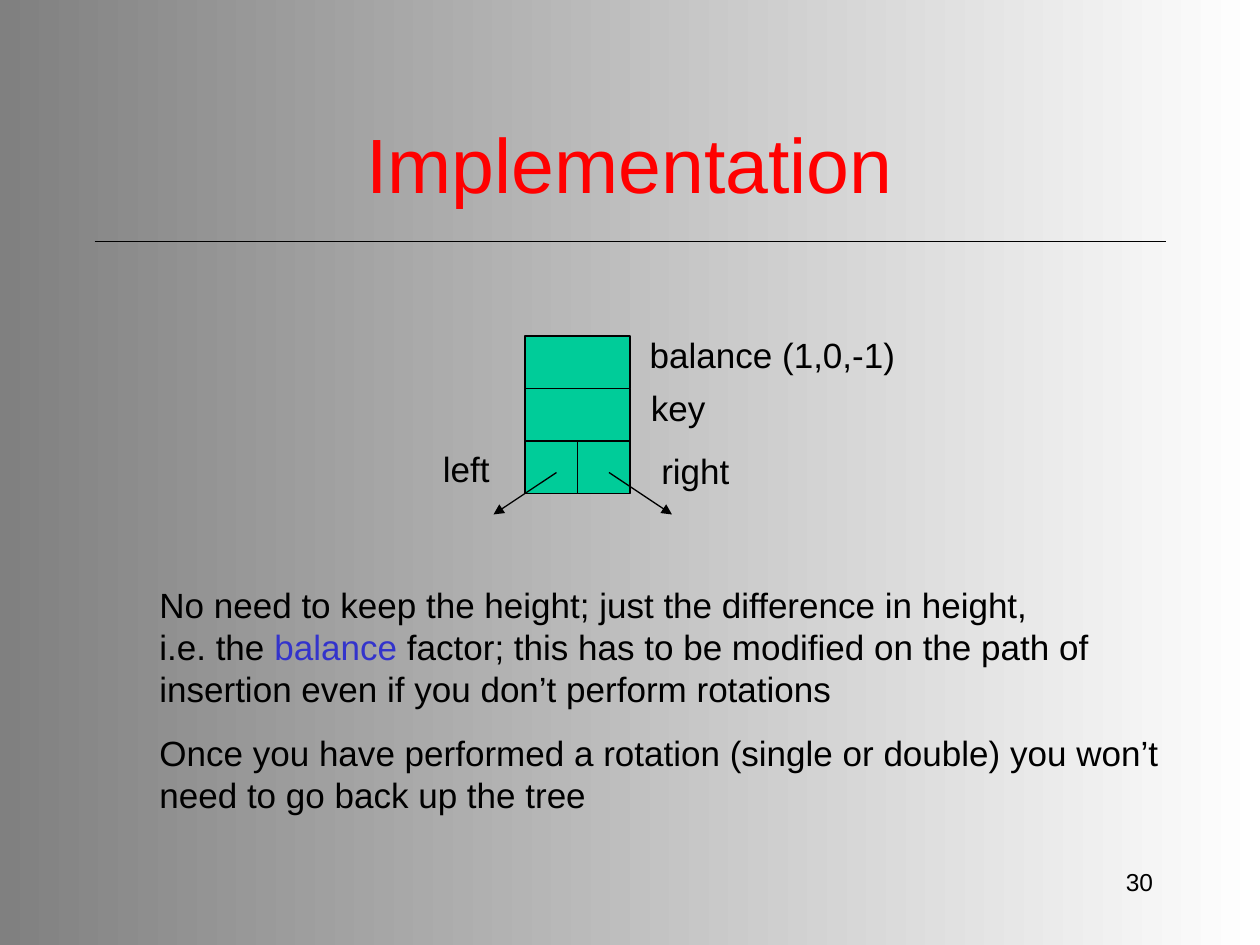
from lxml import etree
from pptx import Presentation
from pptx.dml.color import RGBColor
from pptx.enum.shapes import MSO_CONNECTOR, MSO_SHAPE
from pptx.enum.text import MSO_ANCHOR, PP_ALIGN
from pptx.oxml.ns import qn
from pptx.util import Emu, Pt

PX = 7620  # EMU per px, 120 px to the inch

RECTANGLE = MSO_SHAPE.RECTANGLE
STRAIGHT = MSO_CONNECTOR.STRAIGHT
MIDDLE, TOP = MSO_ANCHOR.MIDDLE, MSO_ANCHOR.TOP
LEFT, CENTER, RIGHT = PP_ALIGN.LEFT, PP_ALIGN.CENTER, PP_ALIGN.RIGHT

BLACK = RGBColor(0x00, 0x00, 0x00)
WHITE = RGBColor(0xFF, 0xFF, 0xFF)
GREY = RGBColor(0x80, 0x80, 0x80)
RED = RGBColor(0xFF, 0x00, 0x00)
BLUE = RGBColor(0x33, 0x33, 0xCC)
GREEN = RGBColor(0x00, 0xCC, 0x99)

FONT = "Arial"
BODY_SIZE, BODY_LEADING = 20, Pt(24)


def px(*lengths):
    return [Emu(length * PX) for length in lengths]


def style(font, size, color):
    font.name = FONT
    font.size = Pt(size)
    font.color.rgb = color


def add_text(slide, box, text, size, color=BLACK, align=LEFT, anchor=TOP,
             wrap=True, leading=None):
    frame = slide.shapes.add_textbox(*px(*box)).text_frame
    frame.word_wrap = wrap
    frame.vertical_anchor = anchor
    frame.text = text
    for paragraph in frame.paragraphs:
        paragraph.alignment = align
        paragraph.line_spacing = leading
        for run in paragraph.runs:
            style(run.font, size, color)
    return frame


def add_line(slide, start, end, arrow=False):
    line = slide.shapes.add_connector(STRAIGHT, *px(*start, *end))
    line.line.color.rgb = BLACK
    line.line.width = Pt(0.75)
    etree.SubElement(line._element.spPr, qn("a:effectLst"))
    if arrow:
        outline = line.line._get_or_add_ln()
        etree.SubElement(outline, qn("a:tailEnd"), type="triangle")


def add_cell(slide, box):
    cell = slide.shapes.add_shape(RECTANGLE, *px(*box))
    cell.shadow.inherit = False
    cell.fill.solid()
    cell.fill.fore_color.rgb = GREEN
    cell.line.color.rgb = BLACK
    cell.line.width = Pt(0.75)


def fill_background(slide):
    fill = slide.background.fill
    fill.gradient()
    fill.gradient_angle = 180
    for stop, color in zip(fill.gradient_stops, (WHITE, GREY)):
        stop.color.rgb = color


def add_heading(slide, box):
    left, top, width, height = box
    add_line(slide, (left, top + height), (left + width, top + height))
    add_text(slide, box, "Implementation", 44, RED, CENTER, MIDDLE)


def add_tree_node(slide, box):
    """Draw a node record: balance, key and two child pointers."""
    left, top, width, height = box
    row, half = height // 3, width // 2
    pointer_top = top + 2 * row
    for column in range(2):
        add_cell(slide, (left + column * half, pointer_top, half, row))
    for index in (1, 0):
        add_cell(slide, (left, top + index * row, width, row))

    for column, reach in enumerate((-60, 60)):
        x, y = left + column * half + 30, pointer_top + 30
        add_line(slide, (x, y), (x + reach, y + 40), arrow=True)

    labels = (
        ("balance (1,0,-1)", 107, -8, 260),
        ("key", 108, 42, 78),
        ("right", 118, 102, 91),
        ("left", -90, 100, 72),
    )
    for text, dx, dy, label_width in labels:
        add_text(slide, (left + dx, top + dy, label_width, 53), text,
                 BODY_SIZE, wrap=False, leading=BODY_LEADING)


def add_remarks(slide, box):
    frame = add_text(
        slide, box,
        "No need to keep the height; just the difference in height,\vi.e. the ",
        BODY_SIZE, leading=BODY_LEADING)
    height_note = frame.paragraphs[0]
    for text, color in (
        ("balance", BLUE),
        (" factor; this has to be modified on the path of insertion "
         "even if you don’t perform rotations", BLACK),
    ):
        run = height_note.add_run()
        run.text = text
        style(run.font, BODY_SIZE, color)

    rotation_note = frame.add_paragraph()
    rotation_note.text = ("Once you have performed a rotation (single or double) "
                          "you won’t need to go back up the tree")
    rotation_note.space_before = Pt(12.5)
    rotation_note.line_spacing = BODY_LEADING
    style(rotation_note.runs[0].font, BODY_SIZE, BLACK)


def main():
    deck = Presentation()
    deck.slide_width, deck.slide_height = px(1200, 900)
    slide = deck.slides.add_slide(deck.slide_layouts[6])
    fill_background(slide)
    add_text(slide, (860, 820, 250, 60), "30", 14, align=RIGHT)
    add_heading(slide, (90, 80, 1020, 150))
    add_tree_node(slide, (500, 320, 100, 150))
    add_remarks(slide, (140, 550, 990, 233))
    deck.save("out.pptx")


if __name__ == "__main__":
    main()
